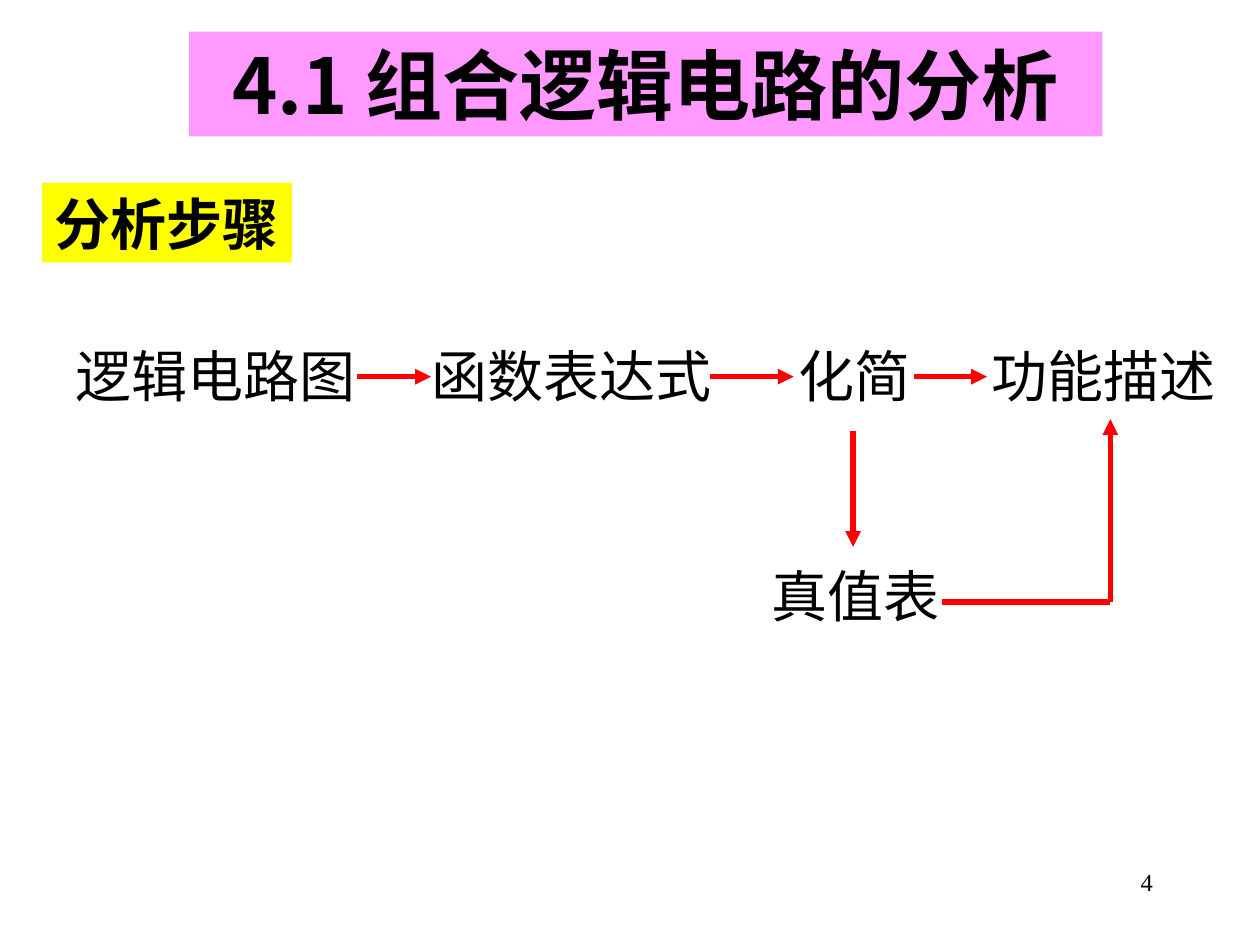
import pptx
import pptx.util
import pptx.dml.color
import pptx.enum.shapes
import pptx.enum.text
import pptx.oxml.ns
from lxml import etree

Pt = pptx.util.Pt
ALIGN = pptx.enum.text.PP_ALIGN
ANCHOR = pptx.enum.text.MSO_ANCHOR
COLORS = {"ink": "000000", "pink": "FF99FF", "yellow": "FFFF00", "red": "FF0000"}
SANS, SERIF = "Noto Sans CJK SC", "Times New Roman"


def color(name):
    return pptx.dml.color.RGBColor.from_string(COLORS[name])


def add_sub(parent, tag, **attrs):
    return etree.SubElement(parent, pptx.oxml.ns.qn(tag), **attrs)


def write(shape, text, size, face=SANS, bold=False, fill=None,
          align=ALIGN.LEFT, anchor=ANCHOR.MIDDLE):
    if fill:
        shape.fill.solid()
        shape.fill.fore_color.rgb = color(fill)
    frame = shape.text_frame
    frame.text = text
    frame.auto_size = pptx.enum.text.MSO_AUTO_SIZE.NONE
    frame.word_wrap = True
    frame.vertical_anchor = anchor
    if align == ALIGN.LEFT:
        frame.margin_right = 0
    para = frame.paragraphs[0]
    para.alignment = align
    run = para.runs[0]
    font = run.font
    font.size, font.bold, font.name = Pt(size), bold, face
    font.color.rgb = color("ink")
    add_sub(run._r.get_or_add_rPr(), "a:ea", typeface=face)


def label(slide, box, text, size=32, **looks):
    write(slide.shapes.add_textbox(*map(Pt, box)), text, size, **looks)


def line(slide, start, end, head=True):
    kind = pptx.enum.shapes.MSO_CONNECTOR.STRAIGHT
    link = slide.shapes.add_connector(kind, *map(Pt, start + end))
    link.line.color.rgb = color("red")
    link.line.width = Pt(3)
    if head:
        add_sub(link.line._get_or_add_ln(), "a:tailEnd", type="triangle")
    add_sub(link._element.spPr, "a:effectLst")


def heading(slide, box):
    title = slide.shapes.title
    title.left, title.top, title.width, title.height = map(Pt, box)
    write(title, "4.1 组合逻辑电路的分析", 44, bold=True, fill="pink",
          align=ALIGN.CENTER)


def flow(slide, box):
    left, top, width, high = box
    mid = top + 23.75
    # Main row: offset and width of each step
    steps = [("逻辑电路图", 0, 174), ("函数表达式", 203.75, 174),
             ("化简", 413.25, 78.5), ("功能描述", 523.5, 142.5)]
    for text, shift, wide in steps:
        label(slide, (left + shift, top, wide, 45.5), text)
    for start, end in ((167.75, 210.25), (370, 417.5), (486, 528)):
        line(slide, (left + start, mid), (left + end, mid))
    # Branch through the truth table
    drop, turn, base = left + 451.5, left + 598.5, top + 152.5
    line(slide, (drop, top + 54.75), (drop, top + 121))
    label(slide, (left + 397.5, top + high - 45.5, 110, 45.5), "真值表")
    line(slide, (left + 502.5, base), (turn, base), head=False)
    line(slide, (turn, base), (turn, top + 48))


def main():
    deck = pptx.Presentation()
    deck.slide_width, deck.slide_height = Pt(720), Pt(540)
    slide = deck.slides.add_slide(deck.slide_layouts[5])
    heading(slide, (108, 18, 522, 60))
    label(slide, (24, 104.5, 143, 45.5), "分析步骤", bold=True, fill="yellow")
    flow(slide, (36, 191.5, 666, 171.5))
    # Page number
    label(slide, (516, 492, 150, 36), "4", 14, face=SERIF,
          align=ALIGN.RIGHT, anchor=ANCHOR.TOP)
    deck.save("out.pptx")


if __name__ == "__main__":
    main()
